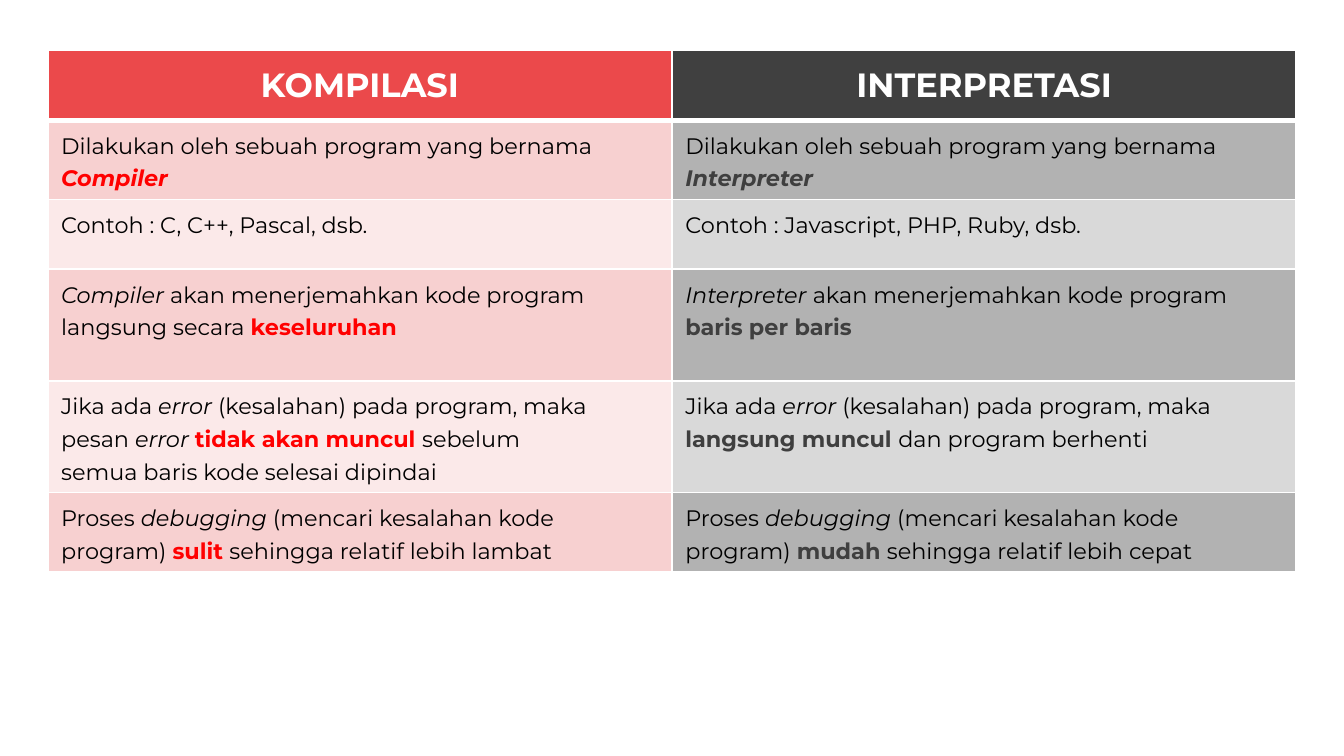
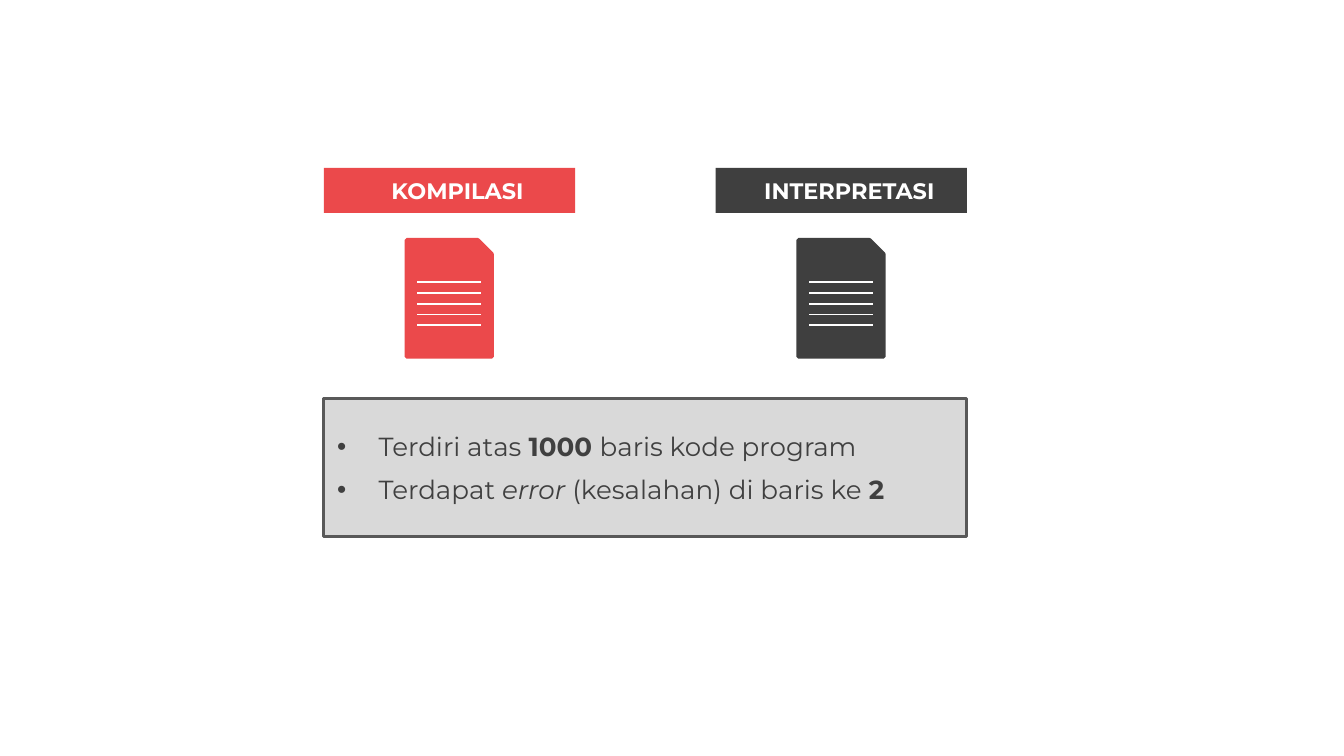
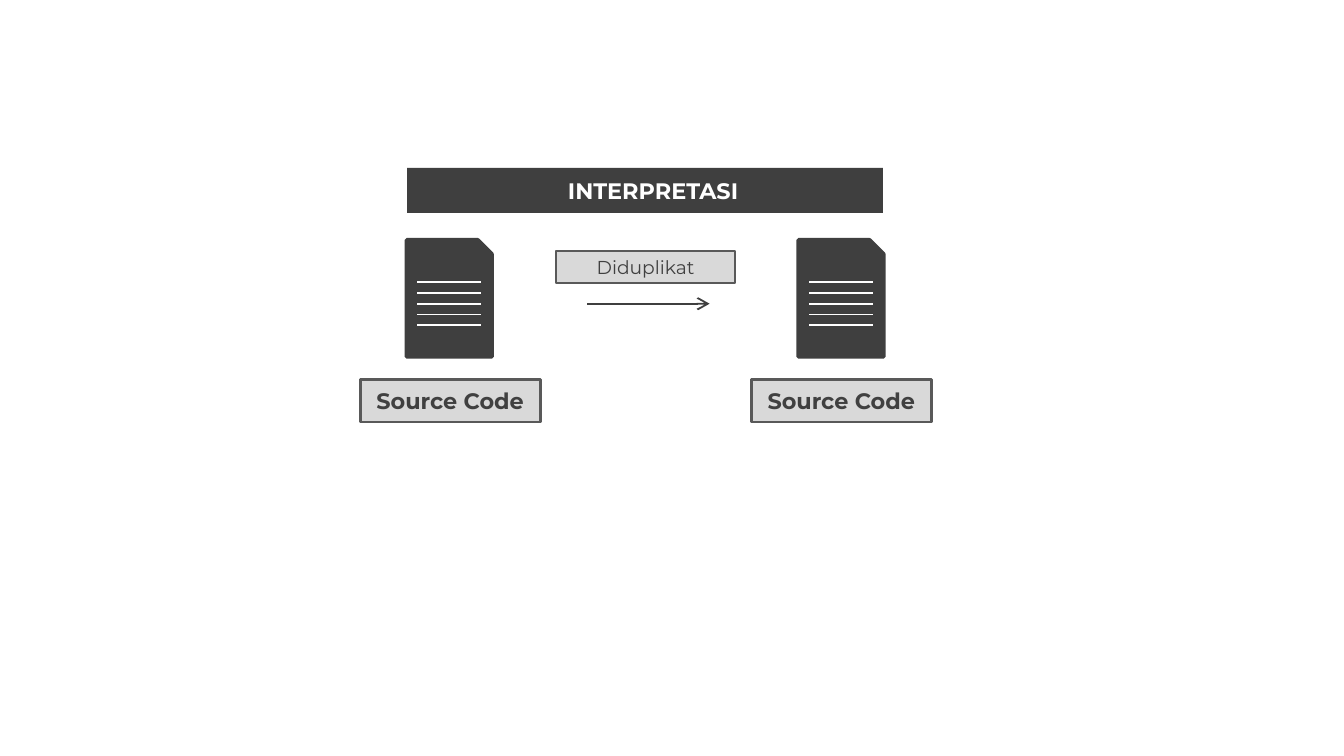
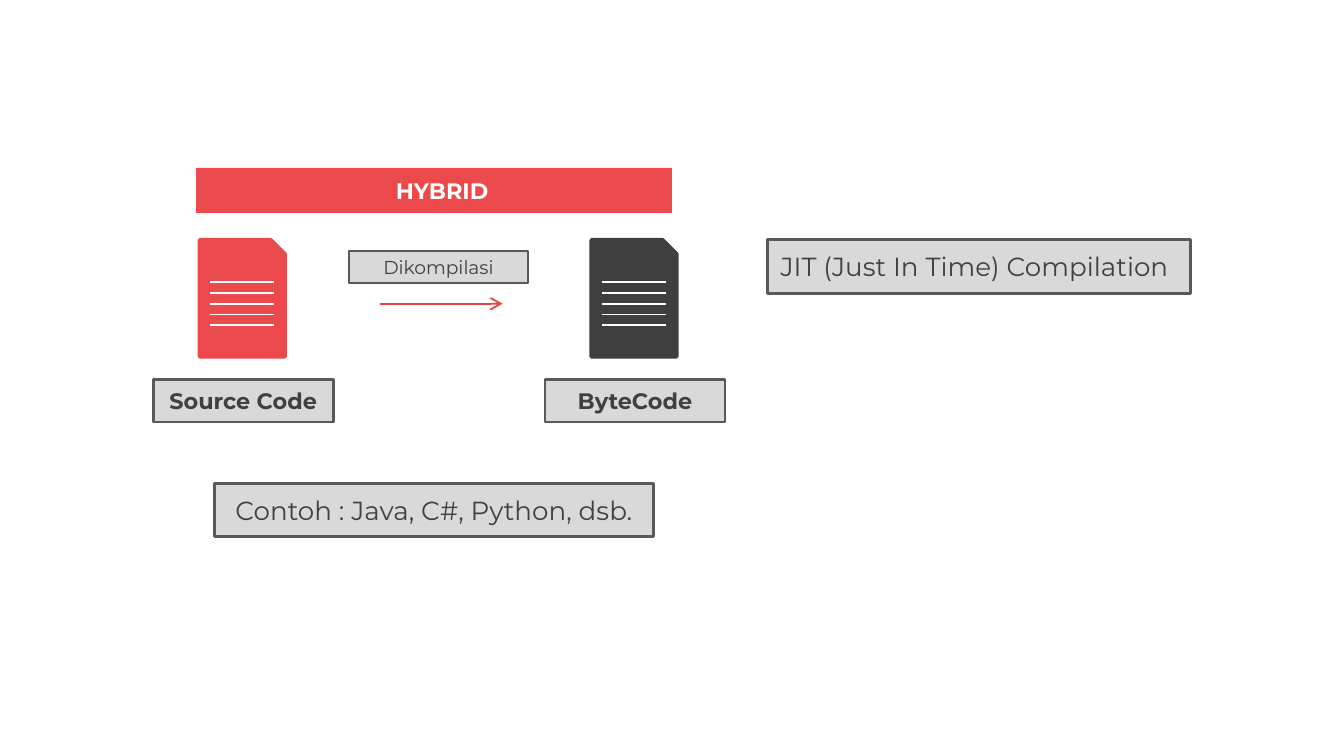
import pptx
import pptx.util
import pptx.dml.color
import pptx.enum.shapes
import pptx.enum.text
import pptx.oxml
import pptx.oxml.ns

Pt = pptx.util.Pt
SHAPE = pptx.enum.shapes.MSO_SHAPE
ALIGN = pptx.enum.text.PP_ALIGN
MID = pptx.enum.text.MSO_ANCHOR.MIDDLE
NS = pptx.oxml.ns.nsdecls("a")
FONT = "Montserrat"
HUE = {
    "red": "EB494B", "dark": "3F3F3F", "head": "404040", "arrow": "EA4345",
    "hot": "FF0000", "black": "000000", "white": "FFFFFF",
    "panel": "D9D9D9", "edge": "595959",
    "rose": "F7D0D0", "pink": "FBE9E9", "gray": "B2B2B2",
}
RGB = {key: pptx.dml.color.RGBColor.from_string(val) for key, val in HUE.items()}

deck = pptx.Presentation()
deck.slide_width = pptx.util.Inches(10)
deck.slide_height = pptx.util.Inches(5.625)
blank = deck.slide_layouts[6]

# Grid: 100 columns by 56.25 rows of square cells
unit = deck.slide_width / 100


def write(par, runs, size, hue, accent=None):
    """Add (text, style) runs; style letters: b bold, i italic, a accent."""
    for text, style in runs:
        run = par.add_run()
        run.text = text
        run.font.name = FONT
        run.font.size = Pt(size)
        run.font.bold = "b" in style
        run.font.italic = "i" in style
        run.font.color.rgb = RGB[accent if "a" in style else hue]


def box(shapes, kind, area, fill, edge=None, thick=1):
    """Add a filled shape; area is left, top, width, height in cells."""
    shape = shapes.add_shape(kind, *[round(n * unit) for n in area])
    shape.shadow.inherit = False
    shape.fill.solid()
    shape.fill.fore_color.rgb = RGB[fill]
    if edge:
        shape.line.color.rgb = RGB[edge]
        shape.line.width = Pt(thick)
    else:
        shape.line.fill.background()
    shape.text_frame.word_wrap = True
    shape.text_frame.vertical_anchor = MID
    return shape


# Slide 1: comparison table, one entry per row, each cell a list of lines
by = [("Dilakukan oleh sebuah program yang bernama", "")]
fault = [("Jika ada ", ""), ("error ", "i"), ("(kesalahan) pada program, maka", "")]
debug = [("Proses ", ""), ("debugging ", "i"), ("(mencari kesalahan kode", "")]
does = ("akan menerjemahkan kode program", "")
rows = [
    (5.2, [[("KOMPILASI", "b")]], [[("INTERPRETASI", "b")]]),
    (5.85, [by, [("Compiler", "bia")]], [by, [("Interpreter", "bia")]]),
    (5.2, [[("Contoh : C, C++, Pascal, dsb.", "")]],
     [[("Contoh : Javascript, PHP, Ruby, dsb.", "")]]),
    (8.3,
     [[("Compiler ", "i"), does], [("langsung secara ", ""), ("keseluruhan", "ba")]],
     [[("Interpreter ", "i"), does], [("baris per baris", "ba")]]),
    (8.3,
     [fault,
      [("pesan ", ""), ("error ", "i"), ("tidak akan muncul ", "ba"), ("sebelum", "")],
      [("semua baris kode selesai dipindai", "")]],
     [fault, [("langsung muncul ", "ba"), ("dan program berhenti", "")]]),
    (5.85,
     [debug, [("program) ", ""), ("sulit ", "ba"), ("sehingga relatif lebih lambat", "")]],
     [debug, [("program) ", ""), ("mudah ", "ba"), ("sehingga relatif lebih cepat", "")]]),
]
heads = ("red", "head")
bands = (("pink", "rose"), ("panel", "gray"))
marks = ("hot", "dark")

slide = deck.slides.add_slide(blank)
area = (3.55, 3.75, 92.9, sum(row[0] for row in rows))
table = slide.shapes.add_table(len(rows), 2, *[round(n * unit) for n in area]).table
table.first_row = table.horz_banding = False
for r, (high, *cells) in enumerate(rows):
    table.rows[r].height = round(high * unit)
    for c, lines in enumerate(cells):
        cell = table.cell(r, c)
        props = cell._tc.get_or_add_tcPr()
        for side in "LRTB":
            thick = 3 if (r, side) in ((0, "B"), (1, "T")) else 1
            props.append(pptx.oxml.parse_xml(
                f'<a:ln{side} {NS} w="{Pt(thick)}"><a:solidFill>'
                f'<a:srgbClr val="{HUE["white"]}"/></a:solidFill></a:ln{side}>'))
        cell.fill.solid()
        cell.fill.fore_color.rgb = RGB[bands[c][r % 2] if r else heads[c]]
        if r == 0:
            cell.vertical_anchor = MID
        for n, line in enumerate(lines):
            par = cell.text_frame.paragraphs[0] if n == 0 else cell.text_frame.add_paragraph()
            if r:
                par.line_spacing = 1.2
                write(par, line, 12, "black", marks[c])
            else:
                par.alignment = ALIGN.CENTER
                write(par, line, 18, "white")

# Slides 2 to 4: titles (left, width, text, hue), files (left, hue),
# arrows (left, hue), panels (area, line width, size, align, lines)
mid, left = ALIGN.CENTER, ALIGN.LEFT
source = [[("Source Code", "b")]]
scenes = [
    {
        "titles": [(24.1, 18.7, "KOMPILASI", "red"), (53.25, 18.7, "INTERPRETASI", "dark")],
        "files": [(30.25, "red"), (59.4, "dark")],
        "arrows": [],
        "panels": [((24.1, 29.65, 47.85, 10.3), 1.5, 14, left, [
            [("Terdiri atas ", ""), ("1000 ", "b"), ("baris kode program", "")],
            [("Terdapat ", ""), ("error ", "i"), ("(kesalahan) di baris ke ", ""), ("2", "b")],
        ])],
    },
    {
        "titles": [(30.3, 35.4, "INTERPRETASI", "dark")],
        "files": [(30.25, "dark"), (59.4, "dark")],
        "arrows": [(43.7, "dark")],
        "panels": [
            ((26.8, 28.25, 13.4, 3.15), 1.5, 12, mid, source),
            ((55.9, 28.25, 13.4, 3.15), 1.5, 12, mid, source),
            ((41.35, 18.65, 13.35, 2.4), 1, 10, mid, [[("Diduplikat", "")]]),
        ],
    },
    {
        "titles": [(14.6, 35.4, "HYBRID", "red")],
        "files": [(14.85, "red"), (44, "dark")],
        "arrows": [(28.3, "arrow")],
        "panels": [
            ((11.4, 28.25, 13.4, 3.15), 1.5, 12, mid, source),
            ((40.55, 28.25, 13.4, 3.15), 1.5, 12, mid, [[("ByteCode", "b")]]),
            ((25.95, 18.65, 13.35, 2.4), 1, 10, mid, [[("Dikompilasi", "")]]),
            ((15.95, 36, 32.7, 3.95), 1.5, 14, mid, [[("Contoh : Java, C#, Python, dsb.", "")]]),
            ((57.1, 17.8, 31.5, 4.05), 1.5, 14, left, [[("JIT (Just In Time) Compilation", "")]]),
        ],
    },
]

for scene in scenes:
    shapes = deck.slides.add_slide(blank).shapes

    # Title bars
    for x, wide, text, hue in scene["titles"]:
        par = box(shapes, SHAPE.RECTANGLE, (x, 12.5, wide, 3.35), hue).text_frame.paragraphs[0]
        par.alignment = mid
        par._p.get_or_add_pPr().set("marL", str(round(1.2 * unit)))
        write(par, [(text, "b")], 12, "white")

    # File icons, with five ruled lines each, and arrows
    lines = [(shapes, x, x + 9.1, 22.6, hue, True) for x, hue in scene["arrows"]]
    for x, hue in scene["files"]:
        group = shapes.add_group_shape().shapes
        box(group, SHAPE.SNIP_1_RECTANGLE, (x, 17.85, 6.35, 8.7), hue, hue, 2)
        lines += [(group, x + 0.8, x + 5.55, 21 + 0.8 * n, "white", False) for n in range(5)]
    for home, start, end, y, hue, tip in lines:
        line = home.add_connector(
            pptx.enum.shapes.MSO_CONNECTOR.STRAIGHT,
            *[round(n * unit) for n in (start, y, end, y)])
        line.line.color.rgb = RGB[hue]
        line.line.width = Pt(1)
        if tip:
            line.line._get_or_add_ln().append(
                pptx.oxml.parse_xml(f'<a:tailEnd {NS} type="arrow"/>'))
        line._element.spPr.append(pptx.oxml.parse_xml(f"<a:effectLst {NS}/>"))

    # Gray panels; several lines make a bullet list
    for area, thick, size, align, texts in scene["panels"]:
        frame = box(shapes, SHAPE.RECTANGLE, area, "panel", "edge", thick).text_frame
        for n, runs in enumerate(texts):
            par = frame.paragraphs[0] if n == 0 else frame.add_paragraph()
            par.alignment = align
            par.space_after = Pt(6)
            if len(texts) > 1:
                props = par._p.get_or_add_pPr()
                props.set("marL", str(round(3.1 * unit)))
                props.set("indent", str(round(-3.1 * unit)))
                props.append(pptx.oxml.parse_xml(f'<a:buFont {NS} typeface="Arial"/>'))
                props.append(pptx.oxml.parse_xml(f'<a:buChar {NS} char="•"/>'))
            write(par, runs, size, "head")

deck.save("out.pptx")
